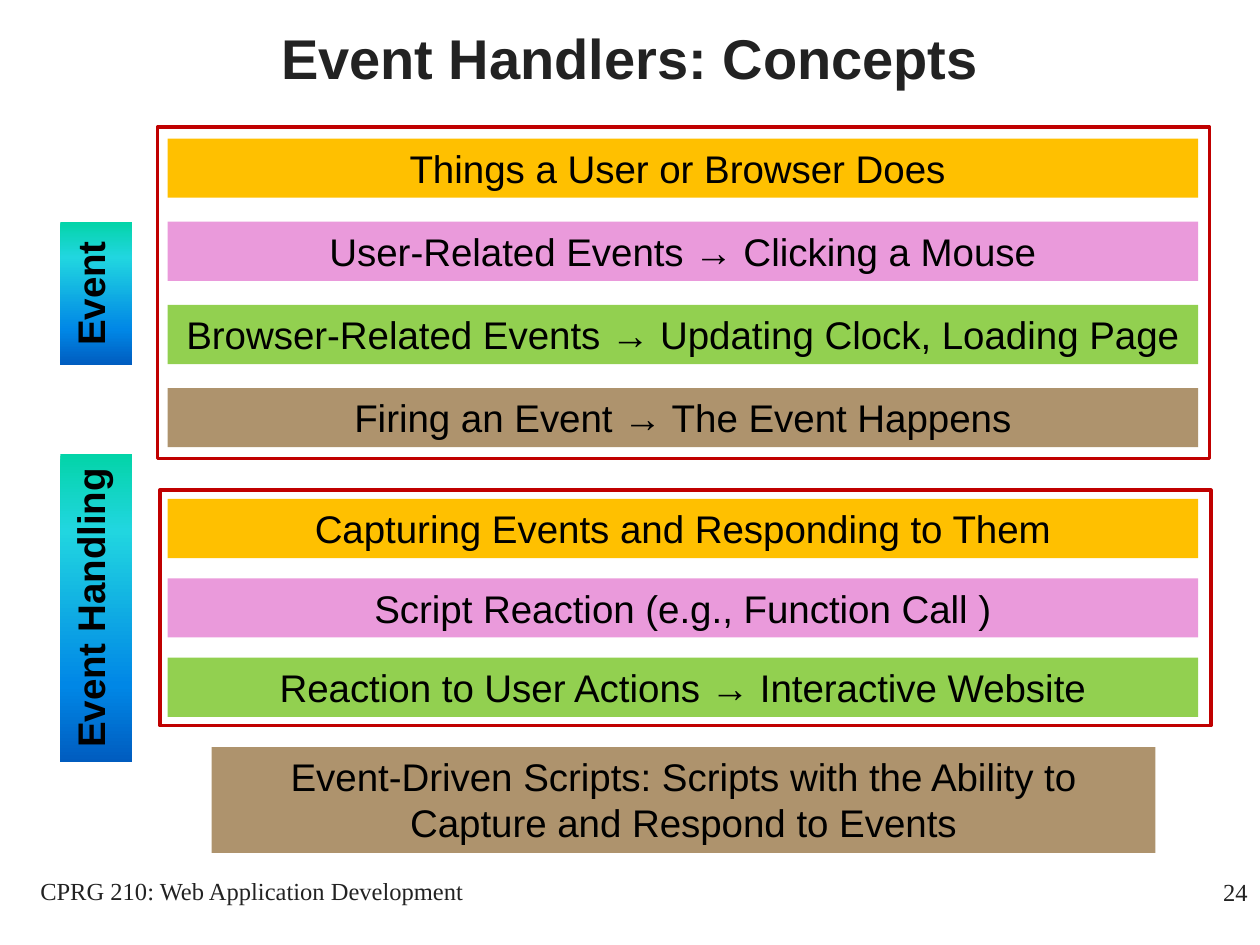
from lxml import etree
from pptx import Presentation
from pptx.dml.color import RGBColor
from pptx.enum.shapes import MSO_SHAPE
from pptx.enum.text import MSO_ANCHOR, PP_ALIGN
from pptx.oxml.ns import qn
from pptx.util import Inches, Pt

RECT = MSO_SHAPE.RECTANGLE
MIDDLE, TOP = MSO_ANCHOR.MIDDLE, MSO_ANCHOR.TOP
CENTER, RIGHT = PP_ALIGN.CENTER, PP_ALIGN.RIGHT
COLORS = {
    "text": "000000", "soft": "222222", "frame": "C00000",
    "gold": "FFC000", "pink": "EA9ADB", "green": "92D050", "brown": "886128",
}
FADE = [(0, "03D4A8"), (25, "21D6E0"), (75, "0087E6"), (100, "005CBF")]
ALPHA = {"brown": 68}
EVENT = [
    ("gold", "Things a User or Browser Does "),
    ("pink", "User-Related Events → Clicking a Mouse"),
    ("green", "Browser-Related Events → Updating Clock, Loading Page"),
    ("brown", "Firing an Event → The Event Happens"),
]
HANDLING = [
    ("gold", "Capturing Events and Responding to Them"),
    ("pink", "Script Reaction (e.g., Function Call )"),
    ("green", "Reaction to User Actions → Interactive Website"),
]


def rgb(name):
    """Return the named colour."""
    return RGBColor.from_string(COLORS[name])


def place(box):
    """Turn a box in inches into lengths."""
    return [Inches(side) for side in box]


def write(shape, text, size=22, face="Arial", color="text", bold=False,
          align=CENTER, anchor=TOP):
    """Put one formatted paragraph in a shape."""
    frame = shape.text_frame
    frame.text = text
    frame.word_wrap = True
    frame.vertical_anchor = anchor
    para = frame.paragraphs[0]
    para.alignment = align
    font = para.font
    font.size, font.name, font.bold = Pt(size), face, bold
    font.color.rgb = rgb(color)


def add_rect(slide, box):
    """Add a rectangle without line or shadow."""
    shape = slide.shapes.add_shape(RECT, *place(box))
    shape.shadow.inherit = False
    shape.line.fill.background()
    return shape


def add_bar(slide, box, color, text):
    """Add a coloured bar with its text."""
    bar = add_rect(slide, box)
    bar.fill.solid()
    bar.fill.fore_color.rgb = rgb(color)
    if color in ALPHA:
        tone = bar.element.spPr.find(qn("a:solidFill"))[0]
        etree.SubElement(tone, qn("a:alpha"), val=str(ALPHA[color] * 1000))
    write(bar, text)


def add_group(slide, box, top, step, rows):
    """Add evenly spaced bars and the frame around them."""
    for i, (color, text) in enumerate(rows):
        add_bar(slide, (1.33, top + i * step, 8.18, 0.47), color, text)
    frame = add_rect(slide, box)
    frame.fill.background()
    frame.line.color.rgb = rgb("frame")
    frame.line.width = Pt(2)


def add_label(slide, box, text):
    """Add an upright gradient label."""
    label = add_rect(slide, box)
    label.fill.gradient()
    label.fill.gradient_angle = 270
    stops = label.element.spPr.find(".//" + qn("a:gsLst"))
    for stop in list(stops):
        stops.remove(stop)
    for pos, tone in FADE:
        stop = etree.SubElement(stops, qn("a:gs"), pos=str(pos * 1000))
        etree.SubElement(stop, qn("a:srgbClr"), val=tone)
    write(label, text, bold=True)
    label.text_frame._txBody.bodyPr.set("vert", "vert270")


def add_title(slide, box, text):
    """Move and format the title."""
    title = slide.shapes.title
    title.left, title.top, title.width, title.height = place(box)
    write(title, text, size=32, color="soft", bold=True, anchor=MIDDLE)


def add_note(slide, box, text, align):
    """Add a footer text."""
    note = slide.shapes.add_textbox(*place(box))
    write(note, text, 14, "Times New Roman", "soft", align=align)


def main():
    """Build and save the slide."""
    deck = Presentation()
    deck.slide_width, deck.slide_height = Inches(10), Inches(7.5)
    slide = deck.slides.add_slide(deck.slide_layouts[5])
    add_title(slide, (0, -0.17, 10, 1.25), "Event Handlers: Concepts")
    add_label(slide, (0.48, 1.76, 0.57, 1.14), "Event")
    add_group(slide, (1.25, 1.01, 8.35, 2.63), 1.1, 0.66, EVENT)
    add_label(slide, (0.48, 3.6, 0.57, 2.45), "Event Handling")
    add_group(slide, (1.27, 3.89, 8.34, 1.87), 3.96, 0.63, HANDLING)
    add_bar(slide, (1.68, 5.93, 7.49, 0.84), "brown",
            "Event-Driven Scripts: Scripts with the Ability to "
            "Capture and Respond to Events")
    add_note(slide, (0, 6.9, 4, 0.5),
             "CPRG 210: Web Application Development", CENTER)
    add_note(slide, (7.92, 6.91, 2.08, 0.5), "24", RIGHT)
    deck.save("out.pptx")


if __name__ == "__main__":
    main()
